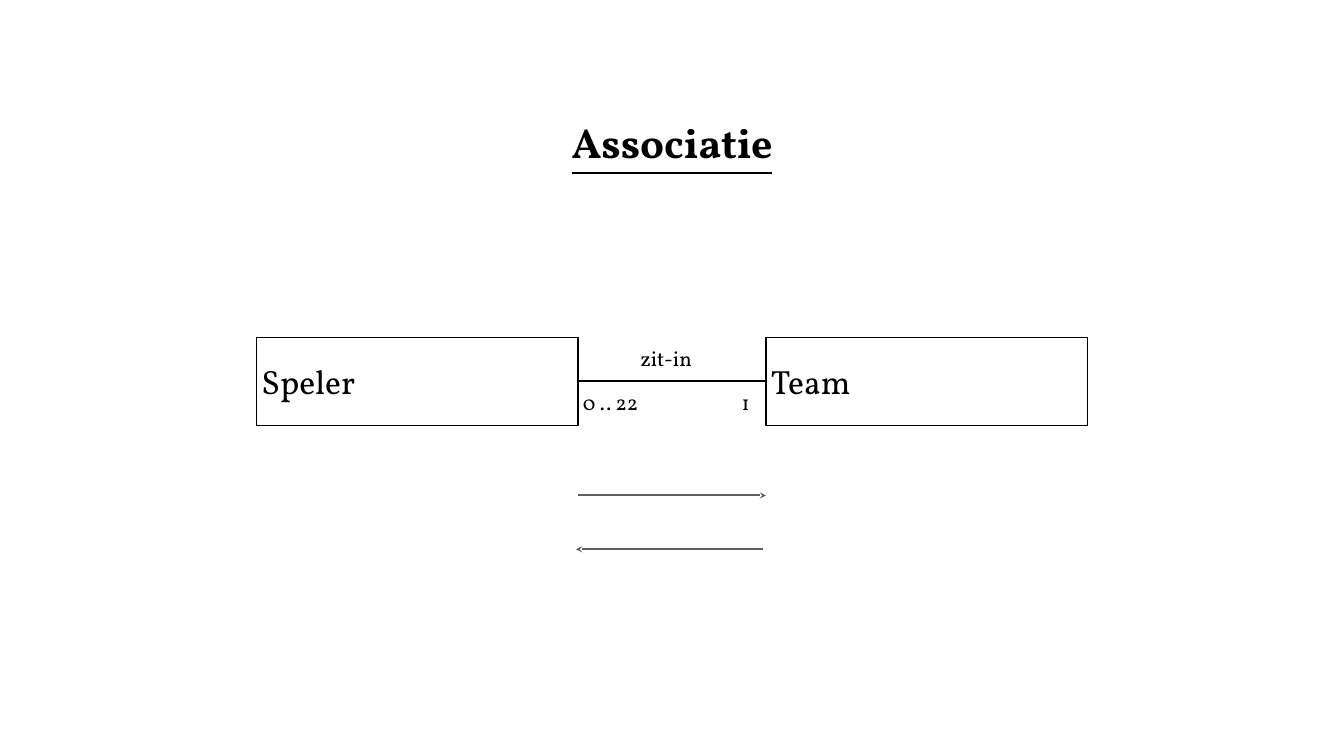
import pptx
import pptx.util
import pptx.dml.color
import pptx.enum.shapes
import pptx.enum.text
import pptx.oxml.ns
from lxml import etree

Inches, Pt = pptx.util.Inches, pptx.util.Pt
ANCHOR = pptx.enum.text.MSO_ANCHOR
ALIGN = pptx.enum.text.PP_ALIGN

BLACK = pptx.dml.color.RGBColor(0x00, 0x00, 0x00)
GREY = pptx.dml.color.RGBColor(0x5E, 0x5E, 0x5E)
FONT = "Vollkorn"

SLIDE_WIDTH, SLIDE_HEIGHT = 26.67, 15
CLASS_WIDTH, CLASS_HEIGHT, CLASS_TOP = 6.38, 1.75, 6.69
GAP = 3.73
LABEL_HEIGHT = 0.75

TITLE = "Associatie"
CLASSES = ["Speler", "Team"]

class_left = (SLIDE_WIDTH - 2 * CLASS_WIDTH - GAP) / 2
gap_left = class_left + CLASS_WIDTH
gap_right = gap_left + GAP
middle = CLASS_TOP + CLASS_HEIGHT / 2

# text, left, top, width
LABELS = [
    ("zit-in", gap_left + 1.14, CLASS_TOP + 0.06, 1.33),
    ("0 .. 22", gap_left, middle + 0.06, 1.33),
    ("1", gap_right - 0.58, middle + 0.06, 0.58),
]
# start, end, height on the slide, colour, arrowhead
LINES = [
    (gap_left, gap_right, middle, BLACK, False),
    (gap_left, gap_right, 9.83, GREY, True),
    (gap_right - 0.06, gap_left - 0.04, 10.9, GREY, True),
]


def write_text(shape, text, size, anchor=ANCHOR.TOP, align=ALIGN.LEFT):
    frame = shape.text_frame
    frame.text = text
    frame.word_wrap = True
    frame.vertical_anchor = anchor
    frame.margin_left = frame.margin_right = Inches(0.1)
    frame.margin_top = frame.margin_bottom = Inches(0.1)
    paragraph = frame.paragraphs[0]
    paragraph.alignment = align
    font = paragraph.runs[0].font
    font.name, font.size = FONT, Pt(size)
    font.color.rgb = BLACK
    return font


def add_line(slide, start, end, height, color, arrowhead):
    line = slide.shapes.add_connector(
        pptx.enum.shapes.MSO_CONNECTOR.STRAIGHT,
        Inches(start), Inches(height), Inches(end), Inches(height))
    line.line.color.rgb = color
    line.line.width = Pt(3)
    qn = pptx.oxml.ns.qn
    if arrowhead:
        etree.SubElement(line.line._get_or_add_ln(), qn("a:tailEnd"), type="stealth")
    etree.SubElement(line._element.spPr, qn("a:effectLst"))


presentation = pptx.Presentation()
presentation.slide_width = Inches(SLIDE_WIDTH)
presentation.slide_height = Inches(SLIDE_HEIGHT)
slide = presentation.slides.add_slide(presentation.slide_layouts[6])

for index, name in enumerate(CLASSES):
    box = slide.shapes.add_shape(
        pptx.enum.shapes.MSO_SHAPE.RECTANGLE,
        Inches(class_left + index * (CLASS_WIDTH + GAP)), Inches(CLASS_TOP),
        Inches(CLASS_WIDTH), Inches(CLASS_HEIGHT))
    box.shadow.inherit = False
    box.fill.background()
    box.line.color.rgb = BLACK
    box.line.width = Pt(1.5)
    write_text(box, name, 48, ANCHOR.MIDDLE)

for line in LINES:
    add_line(slide, *line)

for text, left, top, width in LABELS:
    label = slide.shapes.add_textbox(
        Inches(left), Inches(top), Inches(width), Inches(LABEL_HEIGHT))
    write_text(label, text, 30)

title_width = 5.15
title = slide.shapes.add_textbox(
    Inches((SLIDE_WIDTH - title_width) / 2), Inches(1.17),
    Inches(title_width), Inches(3.28))
title_font = write_text(title, TITLE, 60, ANCHOR.MIDDLE, ALIGN.CENTER)
title_font.bold = title_font.underline = True

presentation.save("out.pptx")
